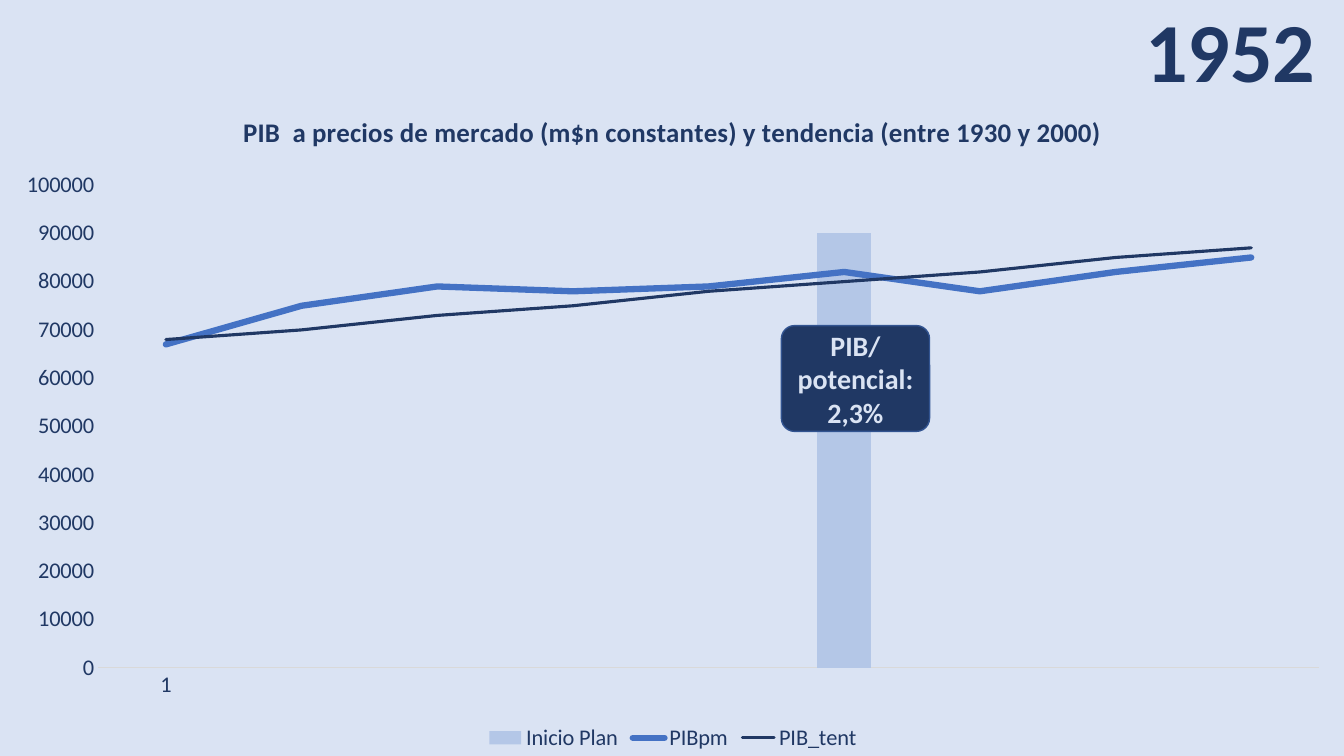
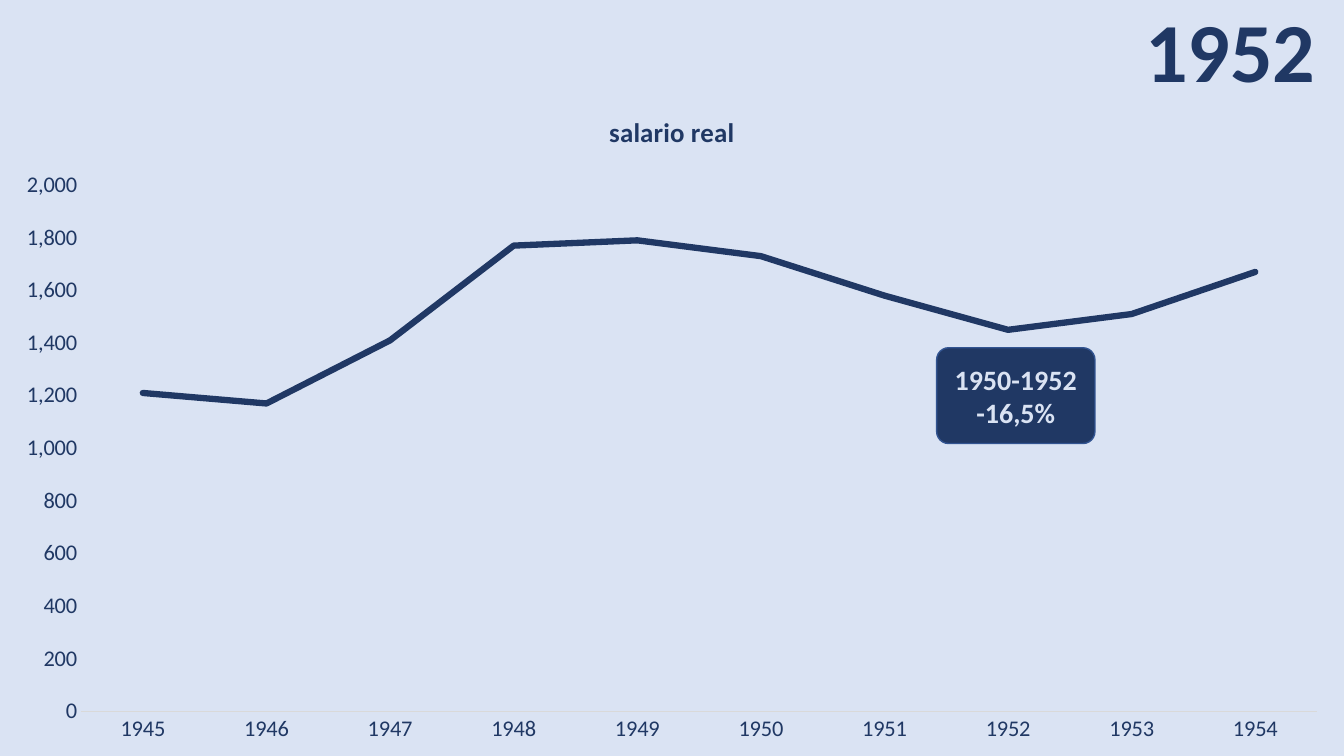
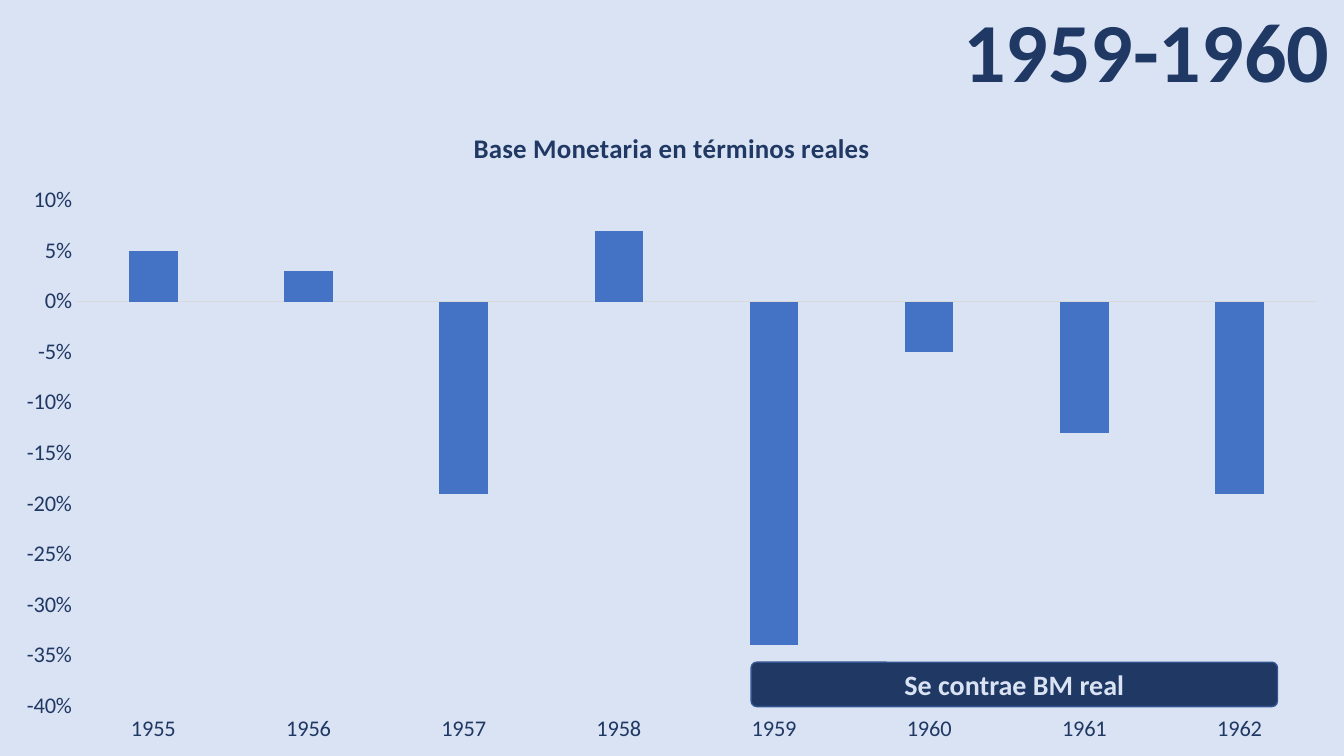
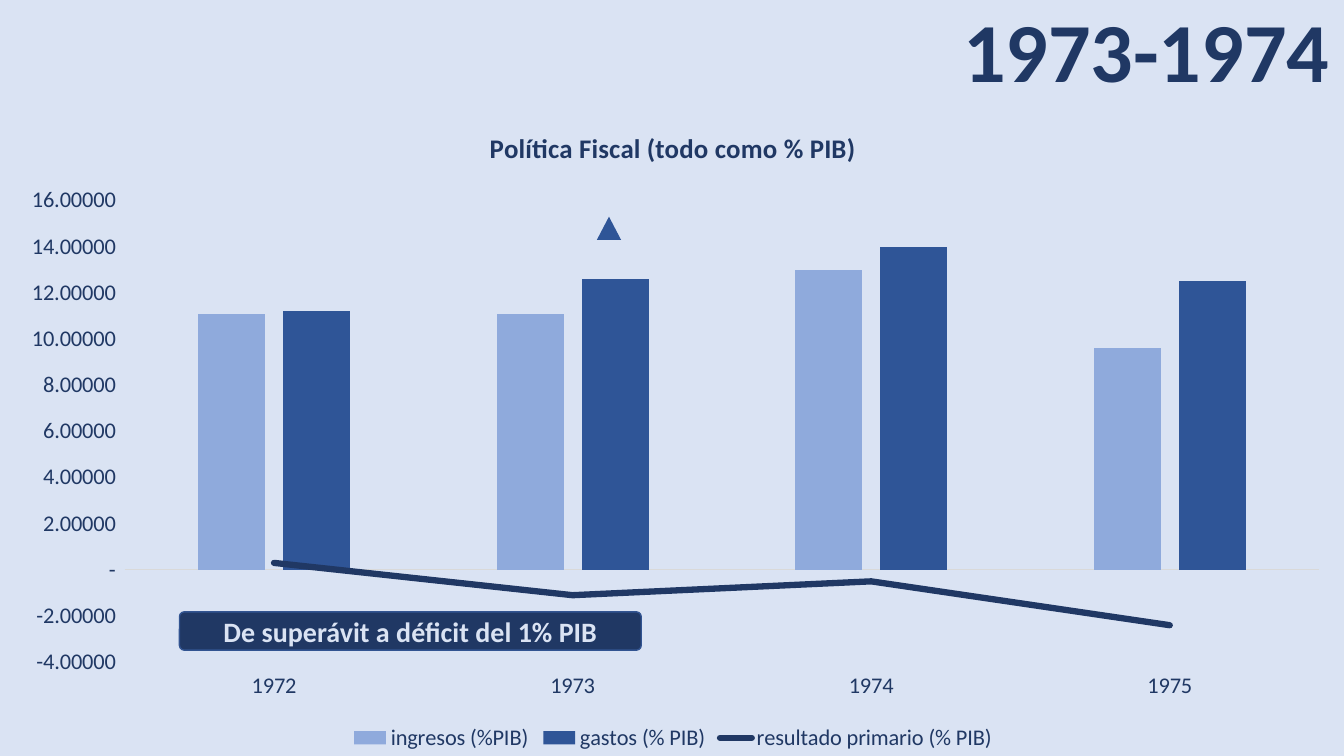
import copy
from dataclasses import dataclass
from typing import Optional

import lxml.etree
import pptx
import pptx.chart.data
import pptx.dml.color
import pptx.enum.chart
import pptx.enum.shapes
import pptx.enum.text
import pptx.oxml.ns
import pptx.util
from pptx.util import Inches

FONT = "Calibri"
COLORS = {
    "background": "DAE3F3",
    "navy": "203864",
    "blue": "4472C4",
    "dark_blue": "2F5597",
    "mid_blue": "8FAADC",
    "pale_blue": "B4C7E7",
    "outline": "325491",
    "axis": "D9D9D9",
}
XL = pptx.enum.chart
SHAPE = pptx.enum.shapes.MSO_SHAPE
ANCHOR = pptx.enum.text.MSO_ANCHOR
qn = pptx.oxml.ns.qn


@dataclass
class Series:
    name: str
    values: list
    color: str
    line: float = 0  # line width in points; 0 means columns


@dataclass
class ChartSpec:
    title: str
    box: tuple
    series: list
    scale: tuple  # minimum, maximum, major unit
    cats: Optional[list] = None
    fmt: str = "General"
    gap: int = 219
    overlap: int = -27
    low_labels: bool = False
    legend: bool = False


@dataclass
class Callout:
    lines: list
    box: tuple


@dataclass
class Page:
    heading: str
    heading_box: tuple
    chart: ChartSpec
    callout: Callout
    marker: Optional[tuple] = None  # box of a small triangle


def rgb(name: str) -> pptx.dml.color.RGBColor:
    return pptx.dml.color.RGBColor.from_string(COLORS[name])


def inches(box: tuple) -> list:
    return [Inches(v) for v in box]


def style_font(font, *, size: float, color: str = "navy", bold: bool = False) -> None:
    font.name = FONT
    font.size = pptx.util.Pt(size)
    font.bold = bold
    font.color.rgb = rgb(color)


def write(tf, lines: list, *, size: float, color: str, anchor, spacing: float = 1.0) -> None:
    """Fill a text frame with bold centred paragraphs."""
    tf.word_wrap = True
    tf.vertical_anchor = anchor
    for i, text in enumerate(lines):
        p = tf.paragraphs[0] if i == 0 else tf.add_paragraph()
        p.alignment = pptx.enum.text.PP_ALIGN.CENTER
        p.line_spacing = spacing
        r = p.add_run()
        r.text = text
        style_font(r.font, size=size, color=color, bold=True)


def add_solid(s, kind, box: tuple, fill: str, outline: Optional[str] = None):
    sp = s.shapes.add_shape(kind, *inches(box))
    sp.shadow.inherit = False
    sp.fill.solid()
    sp.fill.fore_color.rgb = rgb(fill)
    if outline:
        sp.line.color.rgb = rgb(outline)
        sp.line.width = pptx.util.Pt(1)
    else:
        sp.line.fill.background()
    return sp


def add_callout(s, callout: Callout) -> None:
    sp = add_solid(s, SHAPE.ROUNDED_RECTANGLE, callout.box, "navy", "outline")
    sp.adjustments[0] = 0.125
    write(sp.text_frame, callout.lines, size=20, color="background", anchor=ANCHOR.MIDDLE)


def move_to_lines(chart, names: set) -> None:
    """Move the named column series to a line plot on the same axes."""
    bars = chart.plots[0]._element
    lines = lxml.etree.Element(qn("c:lineChart"))
    lines = bars.makeelement(qn("c:lineChart"), {})
    lxml.etree.SubElement(lines, qn("c:grouping")).set("val", "standard")
    lxml.etree.SubElement(lines, qn("c:varyColors")).set("val", "0")
    for series in list(chart.plots[0].series):
        if series.name in names:
            ser = series._element
            for invert in ser.findall(qn("c:invertIfNegative")):
                ser.remove(invert)
            lines.append(ser)
    lxml.etree.SubElement(lines, qn("c:marker")).set("val", "1")
    for axis_id in bars.findall(qn("c:axId")):
        lines.append(copy.deepcopy(axis_id))
    bars.addnext(lines)


def style_series(series, spec: Series) -> None:
    if not spec.line:
        series.format.fill.solid()
        series.format.fill.fore_color.rgb = rgb(spec.color)
        series.invert_if_negative = False
        return
    series.smooth = False
    series.marker.style = XL.XL_MARKER_STYLE.NONE
    series.format.line.color.rgb = rgb(spec.color)
    series.format.line.width = pptx.util.Pt(spec.line)
    series._element.find(f"{qn('c:spPr')}/{qn('a:ln')}").set("cap", "rnd")


def style_axes(chart, spec: ChartSpec) -> None:
    for axis in (chart.category_axis, chart.value_axis):
        axis.has_major_gridlines = False
        axis.major_tick_mark = axis.minor_tick_mark = XL.XL_TICK_MARK.NONE
    cat, val = chart.category_axis, chart.value_axis
    cat.format.line.color.rgb = rgb("axis")
    cat.format.line.width = pptx.util.Pt(0.75)
    if spec.low_labels:
        cat.tick_label_position = XL.XL_TICK_LABEL_POSITION.LOW
    val.format.line.fill.background()
    val.minimum_scale, val.maximum_scale, val.major_unit = spec.scale
    val.tick_labels.number_format = spec.fmt
    val.tick_labels.number_format_is_linked = False


def add_chart(s, spec: ChartSpec) -> None:
    data = pptx.chart.data.CategoryChartData()
    data.categories = spec.cats or [str(i + 1) for i in range(len(spec.series[0].values))]
    for item in spec.series:
        data.add_series(item.name, item.values)
    line_names = {item.name for item in spec.series if item.line}
    only_lines = len(line_names) == len(spec.series)
    kind = XL.XL_CHART_TYPE.LINE if only_lines else XL.XL_CHART_TYPE.COLUMN_CLUSTERED
    chart = s.shapes.add_chart(kind, *inches(spec.box), data).chart
    style_font(chart.font, size=16)

    # Title and legend
    chart.has_title = True
    tf = chart.chart_title.text_frame
    tf.text = spec.title
    style_font(tf.paragraphs[0].runs[0].font, size=19.2, bold=True)
    chart.chart_title.include_in_layout = False
    chart.has_legend = spec.legend
    if spec.legend:
        chart.legend.position = XL.XL_LEGEND_POSITION.BOTTOM
        chart.legend.include_in_layout = False

    # Plots
    chart.plots[0].vary_by_categories = False
    if not only_lines:
        chart.plots[0].gap_width = spec.gap
        chart.plots[0].overlap = spec.overlap
        if line_names:
            move_to_lines(chart, line_names)
    by_name = {item.name: item for item in spec.series}
    for plot in chart.plots:
        for series in plot.series:
            style_series(series, by_name[series.name])
            if spec.cats is None:
                series._element.remove(series._element.find(qn("c:cat")))
    style_axes(chart, spec)


def add_page(prs, page: Page) -> None:
    s = prs.slides.add_slide(prs.slide_layouts[6])
    add_chart(s, page.chart)
    add_callout(s, page.callout)
    tb = s.shapes.add_textbox(*inches(page.heading_box))
    write(tb.text_frame, [page.heading], size=60, color="navy", anchor=ANCHOR.BOTTOM, spacing=0.9)
    if page.marker:
        add_solid(s, SHAPE.ISOSCELES_TRIANGLE, page.marker, "dark_blue")


def years(first: int, last: int) -> list:
    return [str(y) for y in range(first, last + 1)]


YEAR_BOX = (11.06, 0, 2.29, 1.05)
PERIOD_BOX = (9.39, 0, 3.96, 1.05)

PAGES = [
    Page(
        "1952", YEAR_BOX,
        ChartSpec(
            "PIB  a precios de mercado (m$n constantes) y tendencia (entre 1930 y 2000)",
            (0, 0.89, 13.35, 6.61),
            [
                Series("Inicio Plan", [None] * 5 + [90000] + [None] * 3, "pale_blue"),
                Series("PIBpm", [67000, 75000, 79000, 78000, 79000, 82000, 78000, 82000, 85000],
                       "blue", 4.5),
                Series("PIB_tent", [68000, 70000, 73000, 75000, 78000, 80000, 82000, 85000, 87000],
                       "navy", 2.25),
            ],
            (0, 100000, 10000), gap=150, overlap=0, legend=True,
        ),
        Callout(["PIB/", "potencial:", "2,3%"], (7.75, 3.23, 1.47, 1.05)),
    ),
    Page(
        "1952", YEAR_BOX,
        ChartSpec(
            "salario real", (0, 0.89, 13.33, 6.61),
            [Series("salario real",
                    [1210, 1170, 1410, 1770, 1790, 1730, 1580, 1450, 1510, 1670], "navy", 4.5)],
            (0, 2000, 200), years(1945, 1954), "#,##0",
        ),
        Callout(["1950-1952", "-16,5%"], (9.29, 3.45, 1.57, 0.95)),
    ),
    Page(
        "1959-1960", PERIOD_BOX,
        ChartSpec(
            "Base Monetaria en términos reales", (0, 1.05, 13.33, 6.45),
            [Series("Series 1", [0.05, 0.03, -0.19, 0.07, -0.34, -0.05, -0.13, -0.19], "blue")],
            (-0.4, 0.1, 0.05), years(1955, 1962), "0%", low_labels=True,
        ),
        Callout(["Se contrae BM real"], (7.45, 6.57, 5.22, 0.44)),
    ),
    Page(
        "1973-1974", PERIOD_BOX,
        ChartSpec(
            "Política Fiscal (todo como % PIB)", (0, 1.05, 13.35, 6.45),
            [
                Series("ingresos (%PIB)", [11.1, 11.1, 13, 9.6], "mid_blue"),
                Series("gastos (% PIB)", [11.2, 12.6, 14, 12.5], "dark_blue"),
                Series("resultado primario (% PIB)", [0.3, -1.1, -0.5, -2.4], "navy", 4.5),
            ],
            (-4, 16, 2), years(1972, 1975), r'_ * #.##000_ ;_ * \-#.##000_ ;_ * "-"_ ;',
            low_labels=True, legend=True,
        ),
        Callout(["De superávit a déficit del 1% PIB"], (1.78, 6.07, 4.58, 0.38)),
        marker=(5.92, 2.15, 0.24, 0.23),
    ),
]


def main() -> None:
    prs = pptx.Presentation()
    prs.slide_width, prs.slide_height = Inches(13.33), Inches(7.5)
    fill = prs.slide_master.background.fill
    fill.solid()
    fill.fore_color.rgb = rgb("background")
    for page in PAGES:
        add_page(prs, page)
    prs.save("out.pptx")


if __name__ == "__main__":
    main()
